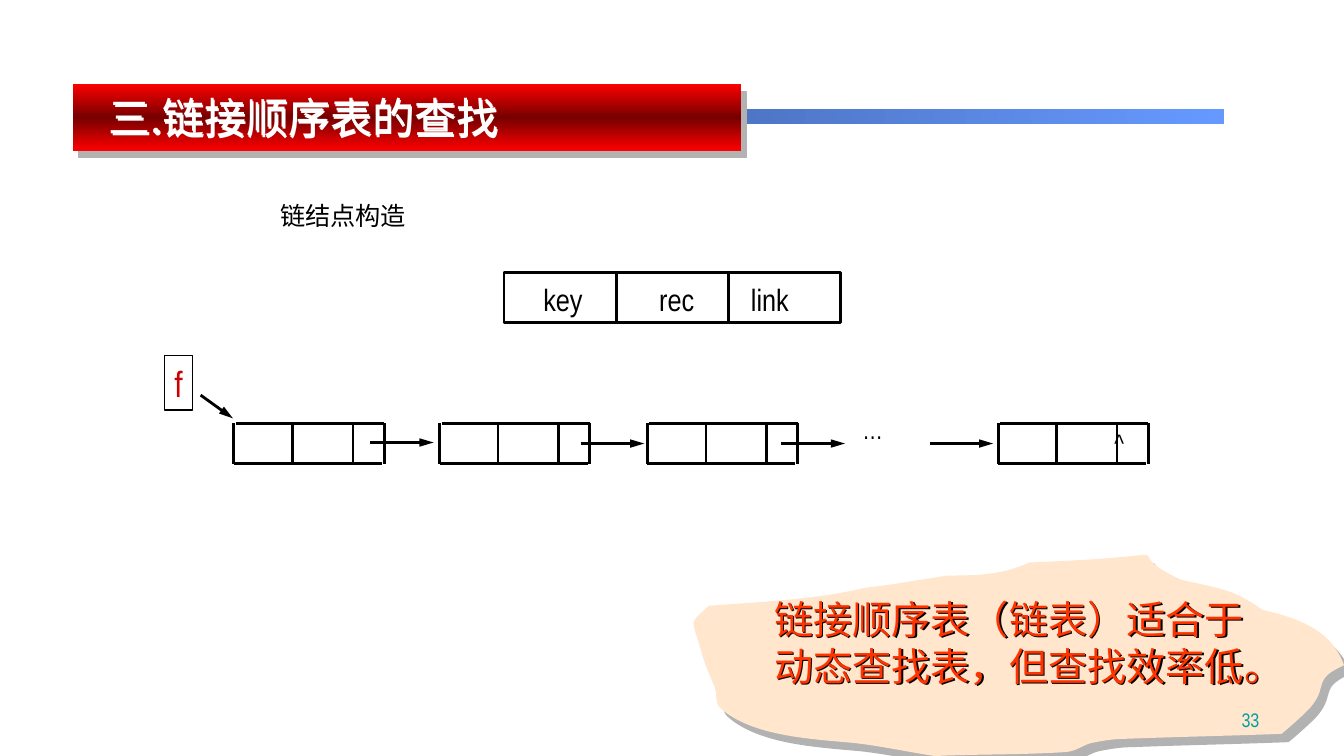
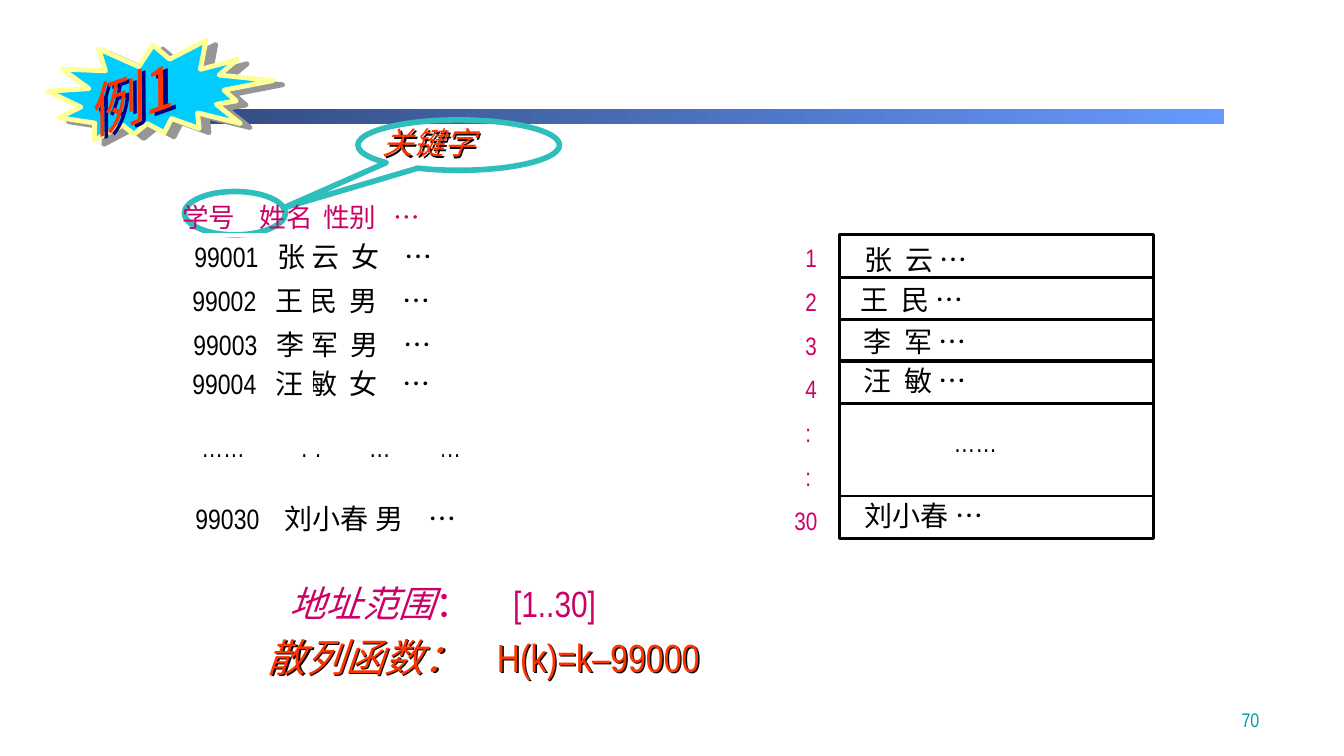
from itertools import accumulate, chain

from pptx import Presentation, util as u
from pptx.dml.color import RGBColor
from pptx.enum import shapes, text
from pptx.oxml import parse_xml
from pptx.oxml.ns import nsdecls, qn

NARROW, SANS, SANS_JP = "Arial Narrow", "Noto Sans CJK SC", "Noto Sans CJK JP"
BLACK, WHITE, RED, MAGENTA = "000000", "FFFFFF", "FF3300", "CC0066"
TEAL, GREY = "2EBEBB", "B2B2B2"
RECT = shapes.MSO_SHAPE.RECTANGLE
ALIGN = text.PP_ALIGN
TEXT_SHADOW = (BLACK, 1.5, 45)


def colour(code):
    return RGBColor.from_string(code)


def element(markup):
    """Parse one drawing element, adding the namespace to its tag."""
    cut = min(markup.index(mark) for mark in " />" if mark in markup)
    return parse_xml(f"{markup[:cut]} {nsdecls('a')}{markup[cut:]}")


def shadow_xml(code, distance, angle):
    return element(
        f'<a:effectLst><a:outerShdw blurRad="0" dist="{u.Pt(distance)}" '
        f'dir="{angle * 60000}" algn="tl" rotWithShape="0">'
        f'<a:srgbClr val="{code}"/></a:outerShdw></a:effectLst>')


def apply(target, values):
    for name, value in values.items():
        setattr(target, name, value)


def style_span(span, size, code, font=NARROW, **extra):
    apply(span.font, {"size": u.Pt(size), "name": font, **extra})
    span.font.color.rgb = colour(code)
    east = SANS if font == NARROW else font
    span.font._element.find(qn("a:latin")).addnext(element(f'<a:ea typeface="{east}"/>'))


def write(frame, lines, size, code, align=ALIGN.LEFT, spacing=None, tabs=(), **style):
    """Fill a frame; a line is a string or a list of (string, style) spans."""
    for index, line in enumerate(lines):
        para = frame.add_paragraph() if index else frame.paragraphs[0]
        para.alignment = align
        if spacing:
            para.line_spacing = spacing
        if tabs:
            stops = "".join(f'<a:tab pos="{u.Inches(tab)}" algn="l"/>' for tab in tabs)
            para._p.get_or_add_pPr().append(element(f"<a:tabLst>{stops}</a:tabLst>"))
        for words, extra in [(line, {})] if isinstance(line, str) else line:
            span = para.add_run()
            span.text = words
            style_span(span, size, code, **{**style, **extra})


def add_text(page, area, lines, size, code, anchor=text.MSO_ANCHOR.MIDDLE,
             wrap=True, shadow=None, **style):
    box = page.shapes.add_textbox(*map(u.Inches, area))
    apply(box.text_frame, {"word_wrap": wrap, "vertical_anchor": anchor})
    write(box.text_frame, lines, size, code, **style)
    if shadow:
        box._element.spPr.append(shadow_xml(*shadow))
    return box


def finish(shape, fill=None, line=None, width=2, shadow=None):
    shape.shadow.inherit = False
    if fill:
        shape.fill.solid()
        shape.fill.fore_color.rgb = colour(fill)
    else:
        shape.fill.background()
    if line:
        shape.line.color.rgb = colour(line)
        shape.line.width = u.Pt(width)
    else:
        shape.line.fill.background()
    if shadow:
        effects = shape._element.spPr.find(qn("a:effectLst"))
        effects.getparent().replace(effects, shadow_xml(*shadow))
    return shape


def add_shape(page, kind, area, **look):
    return finish(page.shapes.add_shape(kind, *map(u.Inches, area)), **look)


def add_gradient(page, area, codes, angle, **look):
    bar = add_shape(page, RECT, area, **look)
    step = 100000 // (len(codes) - 1)
    stops = "".join(f'<a:gs pos="{i * step}"><a:srgbClr val="{code}"/></a:gs>'
                    for i, code in enumerate(codes))
    old = bar._element.spPr.find(qn("a:noFill"))
    old.getparent().replace(old, element(
        f'<a:gradFill rotWithShape="1"><a:gsLst>{stops}</a:gsLst>'
        f'<a:lin ang="{angle * 60000}" scaled="0"/></a:gradFill>'))


def add_line(page, start, end, code=BLACK, width=2, arrow=False):
    line = page.shapes.add_connector(shapes.MSO_CONNECTOR.STRAIGHT,
                                     *map(u.Inches, (*start, *end)))
    line.line.color.rgb = colour(code)
    line.line.width = u.Pt(width)
    if arrow:
        line.line._get_or_add_ln().append(
            element('<a:tailEnd type="triangle" w="med" len="lg"/>'))
    line._element.spPr.append(element("<a:effectLst/>"))


def new_page(deck, number):
    """Add a slide with the shared band and page number."""
    page = deck.slides.add_slide(deck.slide_layouts[6])
    add_gradient(page, (1.11, 1.08, 11.03, 0.15), ("2F4676", "6699FF"), 0)
    return page, lambda: add_text(
        page, (9.81, 6.81, 2.78, 0.5), [str(number)], 14, "009EA1",
        anchor=text.MSO_ANCHOR.BOTTOM, align=ALIGN.RIGHT)


def title_banner(page, left, top, words):
    add_gradient(page, (left, top, 6.63, 0.67), ("FF0000", "760000", "FF0000"), 90,
                 shadow=(GREY, 6.4, 51))
    add_text(page, (left + 0.26, top + 0.03, 6.92, 0.6), [words], 30, WHITE,
             font=SANS, shadow=(WHITE, 1.5, 45))


def node_layout(page, left, top):
    """Draw the three named fields of one list node."""
    add_text(page, (left - 2.32, top - 0.76, 3.18, 0.4), ["链结点构造"], 18, BLACK)
    width = 3.34 / 3
    for index in range(3):
        add_shape(page, RECT, (left + width * index, top, width, 0.5), line=BLACK)
    add_text(page, (left + 0.09, top + 0.03, 3.04, 0.47), ["\tkey\trec\tlink"], 22, BLACK,
             tabs=(0.2, 1.35, 2.26))


def list_node(page, left, top):
    right, bottom = left + 1.49, top + 0.4
    add_line(page, (left + 0.02, top), (right, top), width=1.75)
    add_line(page, (left, bottom), (right - 0.02, bottom), width=1.75)
    for x, width in ((left, 2), (left + 0.58, 1.75), (left + 1.18, 1.75), (right, 2)):
        add_line(page, (x, top), (x, bottom), width=width)


def linked_list(page, left, top):
    """Draw the head pointer, the nodes and the arrows between them."""
    for start in (0, 2.04, 4.1, 7.58):
        list_node(page, left + start, top)
    for start, drop in ((1.35, 0.19), (3.44, 0.2), (5.43, 0.2), (6.9, 0.2)):
        x, y = left + start, top + drop
        add_line(page, (x, y), (x + 0.63, y), arrow=True)
    head = (left - 0.69, top - 0.67, 0.28, 0.54)
    add_shape(page, RECT, head, line=BLACK, width=1)
    add_line(page, (left - 0.33, top - 0.28), (left - 0.01, top - 0.05), arrow=True)
    marks = (("f", head, 26, "CC0000"),
             ("^", (left + 8.63, top - 0.01, 0.3, 0.4), 18, BLACK),
             ("…", (left + 6.13, top - 0.14, 0.41, 0.4), 18, BLACK))
    for mark, area, size, code in marks:
        add_text(page, area, [mark], size, code, wrap=False, align=ALIGN.CENTER)


def blob_note(page, left, top, words):
    """Draw a patch outlined by Bezier curves, with a remark on it."""
    start = (2.58, 0.32)
    curves = (
        (2.3, .36), (2.05, .41), (1.77, .44), (1.26, .56), (.73, .58), (.21, .62),
        (0, .82), (.04, .72), (.14, 1.09), (.17, 1.2), (.22, 1.31), (.27, 1.43),
        (.3, 1.5), (.26, 1.58), (.33, 1.64), (.64, 1.91), (1.2, 1.94), (1.64, 1.98),
        (1.92, 2.01), (2.18, 2.07), (2.45, 2.11), (2.89, 2.09), (3.33, 2.1), (3.76, 2.07),
        (3.86, 2.06), (3.92, 2), (4.01, 1.98), (4.11, 1.96), (4.22, 1.94), (4.33, 1.94),
        (4.85, 1.92), (5.37, 1.91), (5.89, 1.89), (5.93, 1.86), (6.16, 1.66), (6.2, 1.6),
        (6.35, 1.4), (6.2, 1.35), (6.51, 1.21), (6.4, .9), (6.14, .76), (5.7, .66),
        (5.41, .45), (5.27, .45), (4.89, .36), (4.12, 0), (5.26, .12), (3.39, .19),
        (3.13, .31), (2.89, .32), start)
    first, *rest = [(u.Inches(left + x), u.Inches(top + y)) for x, y in (start, *curves)]
    builder = page.shapes.build_freeform(*first)
    builder.add_line_segments(rest, close=True)
    patch = finish(builder.convert_to_shape(), fill="FFE6CD", shadow=(GREY, 7.8, 50))
    segments = list(patch._element.spPr.iter(qn("a:lnTo")))
    for index in range(0, len(curves), 3):
        bezier = element("<a:cubicBezTo/>")
        segments[index].addprevious(bezier)
        for segment in segments[index:index + 3]:
            bezier.append(segment[0])
            segment.getparent().remove(segment)
    add_text(page, (left + 0.76, top + 0.46, 5.11, 1.04), [words], 28, RED,
             font=SANS_JP, shadow=TEXT_SHADOW)


def example_badge(page, left, top, words):
    burst = add_shape(page, shapes.MSO_SHAPE.EXPLOSION2, (left, top, 2.21, 1.09),
                      fill="00CCFF", line="FFFF99", width=3.5, shadow=("969696", 7.6, 23))
    burst.rotation = 5.4
    label = add_text(page, (left + 0.22, top + 0.09, 1.99, 0.77), [words], 40, RED,
                     font=SANS, italic=True, shadow=("000080", 3.5, 20))
    label.rotation = 340.5


def key_callout(page, left, top, words):
    """Ring the key column and name it in a callout."""
    add_shape(page, shapes.MSO_SHAPE.OVAL, (left, top + 0.71, 1, 0.43), line=TEAL, width=4)
    bubble = add_shape(page, shapes.MSO_SHAPE.OVAL_CALLOUT, (left + 1.72, top, 2, 0.5),
                       line=TEAL, width=4)
    bubble.adjustments[0], bubble.adjustments[1] = -0.87, 1.247
    add_text(page, (left + 1.87, top - 0.01, 1.64, 0.47), [words], 22, RED,
             italic=True, shadow=TEXT_SHADOW)


def student_records(page, left, top):
    """Set the records in tabbed columns, divided by white rules."""
    columns = (0.82, 1.56, 2.08)
    add_text(page, (left - 0.09, top - 0.39, 5.39, 0.42),
             [[("学号\t姓名\t性别\t", {"font": SANS}), ("…", {})]], 19, MAGENTA,
             tabs=(0.77, 1.4, 2.09))
    records = (
        (0.03, 0, columns, "99001", "张 云\t女"),
        (0.01, 0.43, columns, "99002", "王 民\t男"),
        (0.02, 0.87, columns, "99003", "李 军\t男"),
        (0.01, 1.26, columns, "99004", "汪 敏\t女"),
        (0.04, 2.6, (0.88, 1.79, 2.31), "99030", "刘小春\t男"))
    for x, y, tabs, number, person in records:
        spans = [(f"{number}\t", {}), (f"{person}\t", {"font": SANS}), ("…", {})]
        add_text(page, (left + x, top + y, 4.7, 0.43), [spans], 20, BLACK, tabs=tabs)
    add_text(page, (left + 0.1, top + 1.89, 4.72, 0.42), ["……\t…\t…\t…"], 19, BLACK,
             tabs=(0.98, 1.66, 2.36))
    for y, width in ((0, 2.5), (0.46, 1.75), (0.88, 1.75), (1.3, 1.75), (1.74, 1.75),
                     (2.62, 1.75), (3.03, 2.5)):
        add_line(page, (left - 0.01, top + y), (left + 4.92, top + y), WHITE, width)
    for x, width in ((-0.04, 2.75), (1.29, 1.75), (2.62, 1.75), (3.32, 1.75), (4.91, 2.75)):
        add_line(page, (left + x, top + 0.01), (left + x, top + 3), WHITE, width)


def address_cells(page, left, top):
    """Draw the numbered storage cells, with a gap before the last one."""
    names = (("张\t云 …", 0.15, 0.03), ("王\t民 …", 0.11, 0), ("李\t军 …", 0.14, 0),
             ("汪\t敏 …", 0.14, -0.02), ("刘小春 …", 0.15, -0.02))
    heights = (0.42, 0.42, 0.41, 0.42, 0.92)
    for y, (name, indent, shift) in zip(chain(accumulate(heights[:3], initial=0), [2.59]),
                                        names):
        add_text(page, (left + indent, top + y + shift, 2.22, 0.43), [name], 20, BLACK,
                 font=SANS, tabs=(0.4,))
        add_shape(page, RECT, (left, top + y, 3.11, 0.42), line=BLACK)
    for x in (left, left + 3.11):
        add_line(page, (x, top + 1.67), (x, top + 2.59))
    add_text(page, (left + 1.03, top + 1.84, 0.64, 0.42), ["……"], 19, BLACK, wrap=False)
    labels = [f"\t{mark}" for mark in "1234::"] + ["30"]
    add_text(page, (left - 0.55, top - 0.11, 0.43, 3.18), labels, 18, MAGENTA,
             anchor=text.MSO_ANCHOR.TOP, wrap=False, spacing=1.45, tabs=(0.11,))


def hash_rule(page, left, top):
    add_text(page, (left + 0.22, top, 5, 0.53),
             [[("地址范围", {"italic": True}), ("：\t[1..30]", {})]], 26, MAGENTA,
             tabs=(2.22,))
    add_text(page, (left, top + 0.51, 7.9, 0.57),
             [[("散列函数：\t", {"font": SANS, "italic": True}), ("H(k)=k–99000", {})]],
             28, RED, tabs=(2.28,), shadow=TEXT_SHADOW)


def list_slide(deck):
    page, add_number = new_page(deck, 33)
    title_banner(page, 0.72, 0.83, "三.链接顺序表的查找")
    linked_list(page, 2.32, 4.2)
    node_layout(page, 5, 2.7)
    blob_note(page, 6.82, 5.39, "链接顺序表（链表）适合于动态查找表，但查找效率低。")
    add_number()


def hash_slide(deck):
    page, add_number = new_page(deck, 70)
    example_badge(page, 0.48, 0.36, "例1")
    key_callout(page, 1.83, 1.19, "关键字")
    hash_rule(page, 2.55, 5.72)
    address_cells(page, 8.33, 2.33)
    student_records(page, 1.8, 2.33)
    add_number()


def main():
    deck = Presentation()
    apply(deck, {"slide_width": u.Inches(13.33), "slide_height": u.Inches(7.5)})
    list_slide(deck)
    hash_slide(deck)
    deck.save("out.pptx")


if __name__ == "__main__":
    main()
